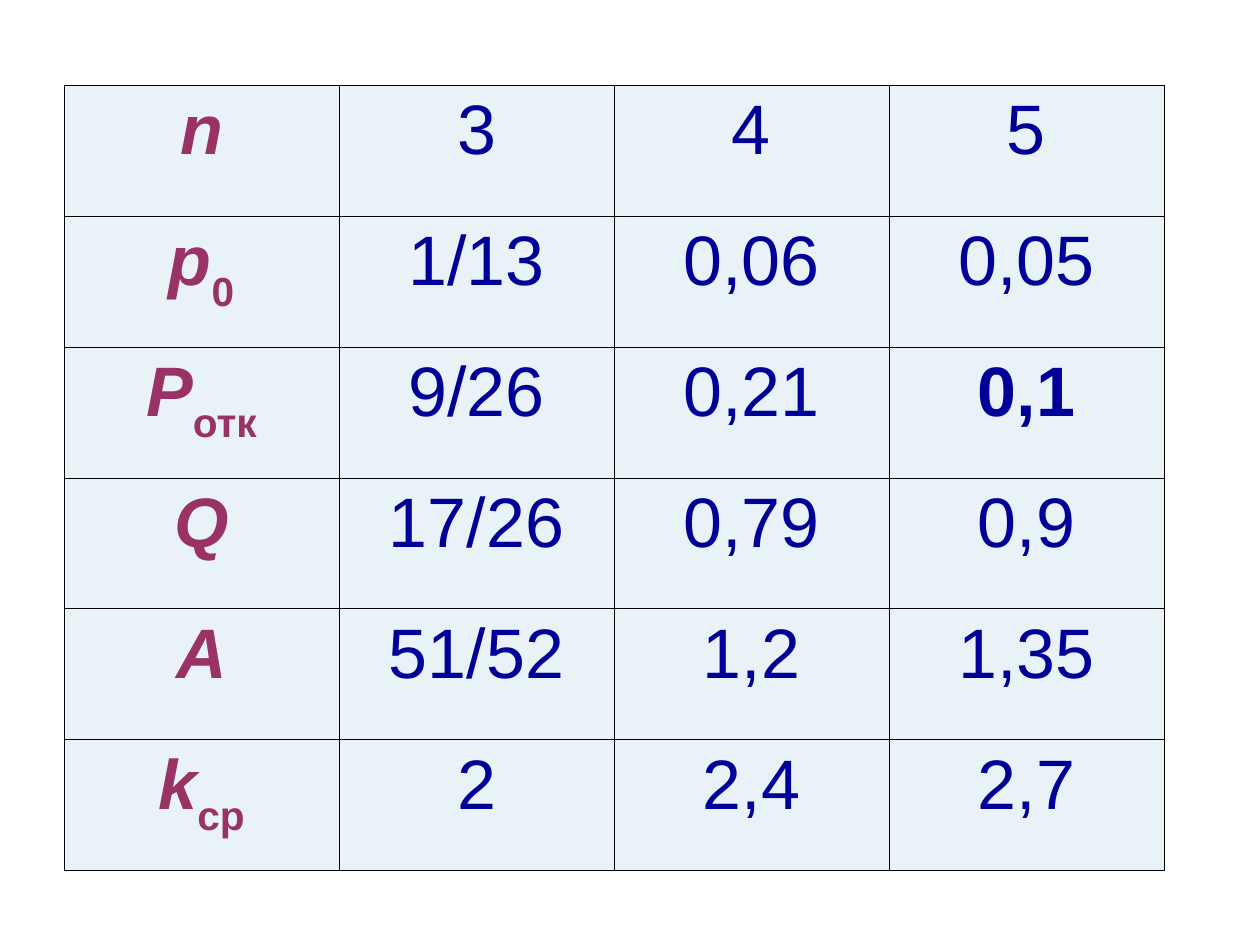
from lxml import etree
from pptx import Presentation
from pptx.dml.color import RGBColor
from pptx.enum.text import PP_ALIGN
from pptx.oxml.ns import qn
from pptx.util import Pt

# Content: symbol, subscript, values for each number of channels
ROWS = [
    ("n", "", ["3", "4", "5"]),
    ("p", "0", ["1/13", "0,06", "0,05"]),
    ("P", "отк", ["9/26", "0,21", "0,1"]),
    ("Q", "", ["17/26", "0,79", "0,9"]),
    ("A", "", ["51/52", "1,2", "1,35"]),
    ("k", "ср", ["2", "2,4", "2,7"]),
]
BOLD_VALUES = {"0,1"}

# Style and layout, lengths in px
SYMBOL, VALUE, FILL, BORDER = "993366", "000099", "E9F3F7", "000000"
LEFT, TOP, COL_W, ROW_H = 64, 85, 275, 131
HANGING = 48
EMU_PER_PX = 914400 // 126


def px(n):
    return round(n * EMU_PER_PX)


def rgb(color):
    return RGBColor.from_string(color)


def add_run(p, text, color, bold=False, italic=False, subscript=False):
    r = p.add_run()
    r.text = text
    font = r.font
    font.name, font.size = "Arial", Pt(40)
    font.bold, font.italic = bold, italic
    font.color.rgb = rgb(color)
    if subscript:
        r._r.get_or_add_rPr().set("baseline", "-30000")


def format_cell(cell):
    tcPr = cell._tc.get_or_add_tcPr()
    for side in ("lnL", "lnR", "lnT", "lnB"):
        ln = etree.SubElement(tcPr, qn(f"a:{side}"), w=str(Pt(0.45)))
        fill = etree.SubElement(ln, qn("a:solidFill"))
        etree.SubElement(fill, qn("a:srgbClr"), val=BORDER)
    cell.fill.solid()
    cell.fill.fore_color.rgb = rgb(FILL)
    p = cell.text_frame.paragraphs[0]
    p.alignment = PP_ALIGN.CENTER
    pPr = p._p.get_or_add_pPr()
    pPr.set("marL", str(px(HANGING)))
    pPr.set("indent", str(px(-HANGING)))
    return p


prs = Presentation()
prs.slide_width, prs.slide_height = px(1260), px(945)
s = prs.slides.add_slide(prs.slide_layouts[6])

# Table grid
n_cols = 1 + len(ROWS[0][2])
table = s.shapes.add_table(len(ROWS), n_cols, px(LEFT), px(TOP),
                           px(COL_W * n_cols), px(ROW_H * len(ROWS))).table
table.first_row = table.horz_banding = False
for col in table.columns:
    col.width = px(COL_W)
for row in table.rows:
    row.height = px(ROW_H)

# Cell text
for i, (symbol, subscript, values) in enumerate(ROWS):
    p = format_cell(table.cell(i, 0))
    add_run(p, symbol, SYMBOL, bold=True, italic=True)
    if subscript:
        add_run(p, subscript, SYMBOL, bold=True, subscript=True)
    for j, value in enumerate(values, start=1):
        p = format_cell(table.cell(i, j))
        add_run(p, value, VALUE, bold=value in BOLD_VALUES)

prs.save("out.pptx")
